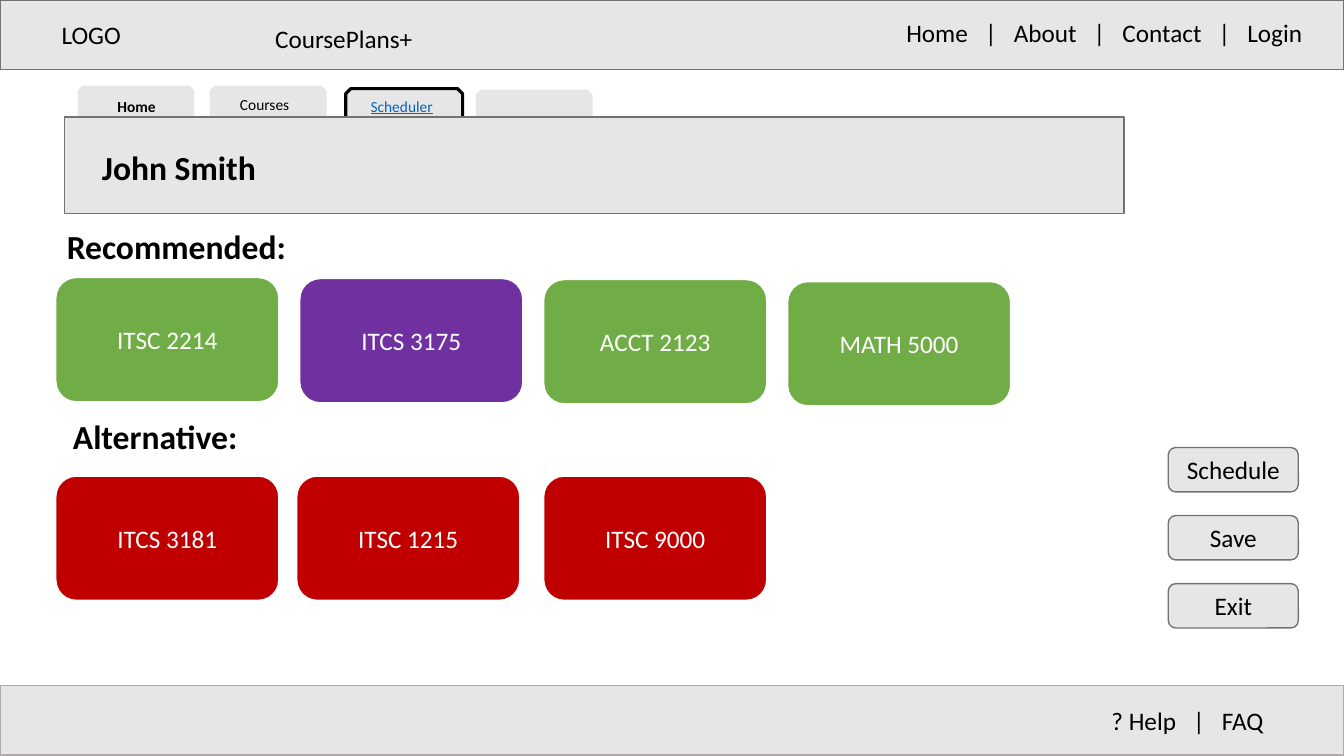
from dataclasses import dataclass

from pptx import Presentation
from pptx.dml.color import RGBColor
from pptx.enum.shapes import MSO_SHAPE
from pptx.enum.text import MSO_ANCHOR, MSO_AUTO_SIZE, PP_ALIGN
from pptx.util import Emu, Inches, Pt

RECT = MSO_SHAPE.RECTANGLE
ROUNDED = MSO_SHAPE.ROUNDED_RECTANGLE
TAB = MSO_SHAPE.SNIP_2_SAME_RECTANGLE
CENTER = PP_ALIGN.CENTER
TOP, MIDDLE = MSO_ANCHOR.TOP, MSO_ANCHOR.MIDDLE
GROW = MSO_AUTO_SIZE.SHAPE_TO_FIT_TEXT

# Grid of 160 columns by 90 rows, twelve cells to the inch
COLS, ROWS = 160, 90
CELL = Inches(1 / 12)

FONT = "Calibri"
BLACK, WHITE, GREY = "000000", "FFFFFF", "E7E6E6"
DARK_GREY, MID_GREY = "767171", "AFABAB"
GREEN, PURPLE, RED, LINK_BLUE = "70AD47", "7030A0", "C00000", "0563C1"
SPACE_TRACKING = 815  # hundredths of a point, around each link separator


@dataclass
class Box:
    col: float
    row: float
    cols: float
    rows: float

    def emu(self) -> list[Emu]:
        return [Emu(round(n * CELL)) for n in (self.col, self.row, self.cols, self.rows)]


@dataclass
class Style:
    size: float = 18
    color: str = BLACK
    bold: bool = False
    underline: bool = False


@dataclass
class Block:
    box: Box
    fill: str = GREY
    line: str = ""
    width: float = 1
    kind: int = RECT
    text: str = ""
    text_color: str = BLACK


@dataclass
class Label:
    box: Box
    text: str
    style: Style


def rgb(value: str) -> RGBColor:
    return RGBColor.from_string(value)


def format_text(tf, style: Style, anchor=TOP) -> None:
    tf.word_wrap = True
    tf.vertical_anchor = anchor
    p = tf.paragraphs[0]
    p.alignment = CENTER
    for r in p.runs:
        r.font.name = FONT
        r.font.size = Pt(style.size)
        r.font.bold = style.bold
        r.font.underline = style.underline
        r.font.color.rgb = rgb(style.color)


def add_block(s, block: Block) -> None:
    sp = s.shapes.add_shape(block.kind, *block.box.emu())
    sp.shadow.inherit = False
    sp.fill.solid()
    sp.fill.fore_color.rgb = rgb(block.fill)
    if block.line:
        sp.line.color.rgb = rgb(block.line)
        sp.line.width = Pt(block.width)
    else:
        sp.line.fill.background()
    if block.text:
        sp.text_frame.text = block.text
        format_text(sp.text_frame, Style(color=block.text_color), MIDDLE)


def add_label(s, label: Label) -> None:
    tf = s.shapes.add_textbox(*label.box.emu()).text_frame
    tf.text = label.text
    format_text(tf, label.style)
    tf.auto_size = GROW


def add_links(s, box: Box, links: list[str]) -> None:
    tf = s.shapes.add_textbox(*box.emu()).text_frame
    p = tf.paragraphs[0]
    for i, link in enumerate(links):
        for text in ([" ", "|", " "] if i else []) + [link]:
            r = p.add_run()
            r.text = text
            if text == " ":
                r.font._element.set("spc", str(SPACE_TRACKING))
    format_text(tf, Style())
    tf.auto_size = GROW


def set_title(s, box: Box, text: str) -> None:
    sp = s.shapes.title
    sp.left, sp.top, sp.width, sp.height = box.emu()
    sp.text_frame.text = text
    format_text(sp.text_frame, Style(24, bold=True))
    sp.text_frame.auto_size = GROW
    s.shapes._spTree.append(sp._element)  # in front of the name panel


def course(col: float, row: float, text: str, fill: str) -> Block:
    return Block(Box(col, row, 26.64, 14.88), fill, WHITE, 1.5, ROUNDED, text, WHITE)


def tab(col: float, row: float, line: str = "") -> Block:
    return Block(Box(col, row, 13.92, 3.6), line=line, width=2.25, kind=TAB)


# Header, footer, tabs and name panel
FRAME = [
    Block(Box(0, 0, COLS, 8.28), line=DARK_GREY),
    Block(Box(0, 81.6, COLS, 8.28), line=MID_GREY),
    tab(56.64, 10.68),
    tab(41.16, 10.56, BLACK),
    tab(9.24, 10.2),
    tab(24.96, 10.2),
    Block(Box(7.68, 13.92, 126.12, 11.52), line=DARK_GREY),
]

# Course cards and action buttons
COURSES = [
    course(6.6, 33, "ITSC 2214", GREEN),
    course(35.64, 33.12, "ITCS 3175", PURPLE),
    course(64.68, 33.24, "ACCT 2123", GREEN),
    course(93.72, 33.48, "MATH 5000", GREEN),
    course(6.6, 56.64, "ITCS 3181", RED),
    course(35.28, 56.64, "ITSC 1215", RED),
    course(64.68, 56.64, "ITSC 9000", RED),
]
BUTTONS = [
    Block(Box(139.08, 53.28 + 8.1 * i, 15.48, 5.28), line=DARK_GREY, kind=ROUNDED, text=text)
    for i, text in enumerate(["Schedule", "Save", "Exit"])
]

# Header names, tab names and section headings
LABELS = [
    Label(Box(5.28, 1.68, 11.16, 4.8), "LOGO", Style()),
    Label(Box(16.44, 2.16, 48.96, 4.8), "CoursePlans+", Style()),
    Label(Box(25.44, 10.68, 12.12, 3.48), "Courses", Style(11)),
    Label(Box(10.2, 10.92, 12.12, 3.48), "Home", Style(11, bold=True)),
    Label(Box(41.76, 10.92, 12.12, 3.48), "Scheduler", Style(11, LINK_BLUE, underline=True)),
    Label(Box(4.44, 26.28, 33.12, 6), "Recommended:", Style(24, bold=True)),
    Label(Box(1.92, 48.96, 33.12, 6), "Alternative:", Style(24, bold=True)),
]


def main() -> None:
    prs = Presentation()
    prs.slide_width, prs.slide_height = Emu(COLS * CELL), Emu(ROWS * CELL)
    s = prs.slides.add_slide(prs.slide_layouts[5])
    for block in FRAME + COURSES + BUTTONS:
        add_block(s, block)
    set_title(s, Box(7.56, 16.92, 27.48, 6), "John Smith")
    for label in LABELS:
        add_label(s, label)
    add_links(s, Box(102.84, 1.44, 57.24, 4.8), ["Home", "About", "Contact", "Login"])
    add_links(s, Box(130.08, 83.4, 22.56, 4.8), ["? Help", "FAQ"])
    prs.save("out.pptx")


if __name__ == "__main__":
    main()
